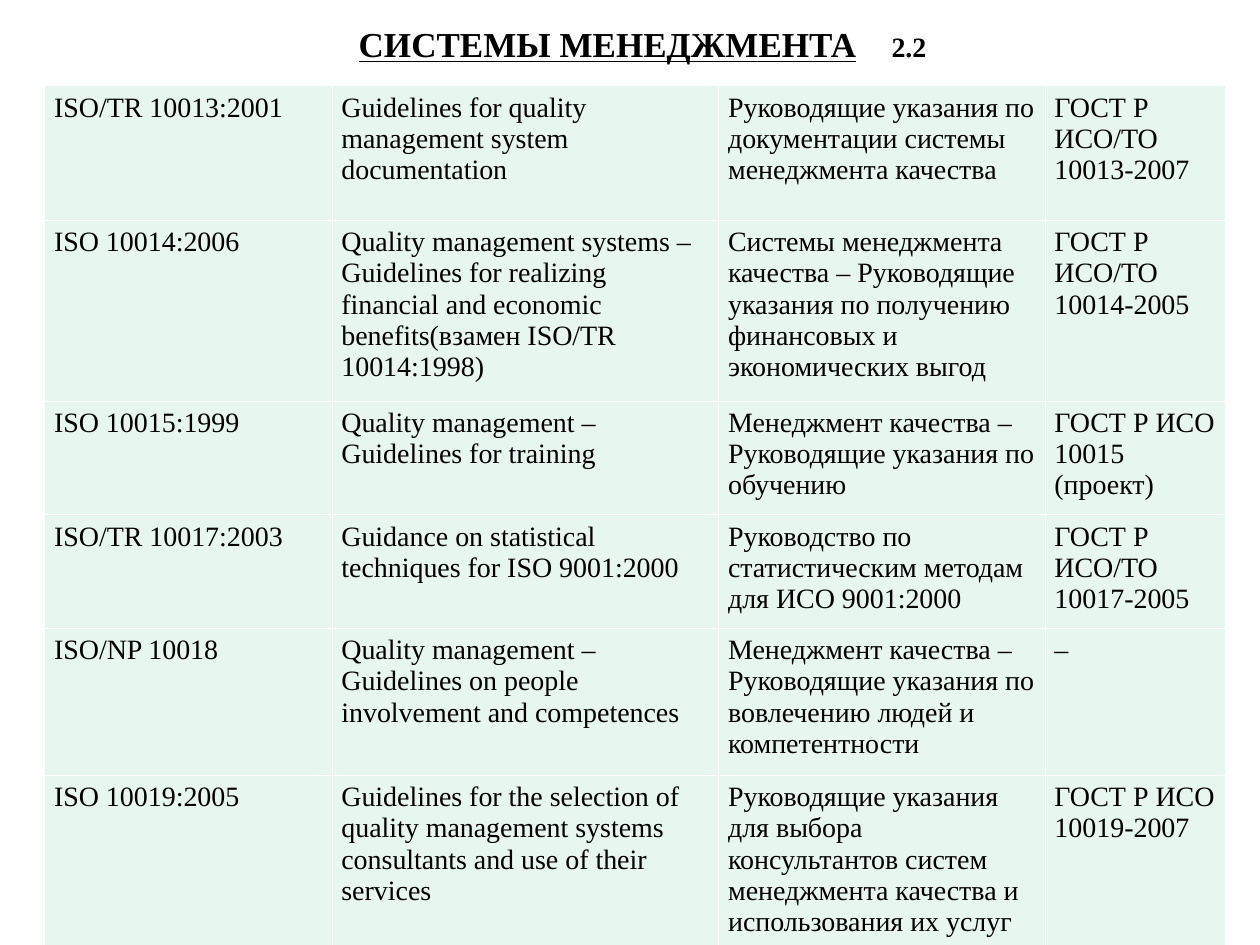
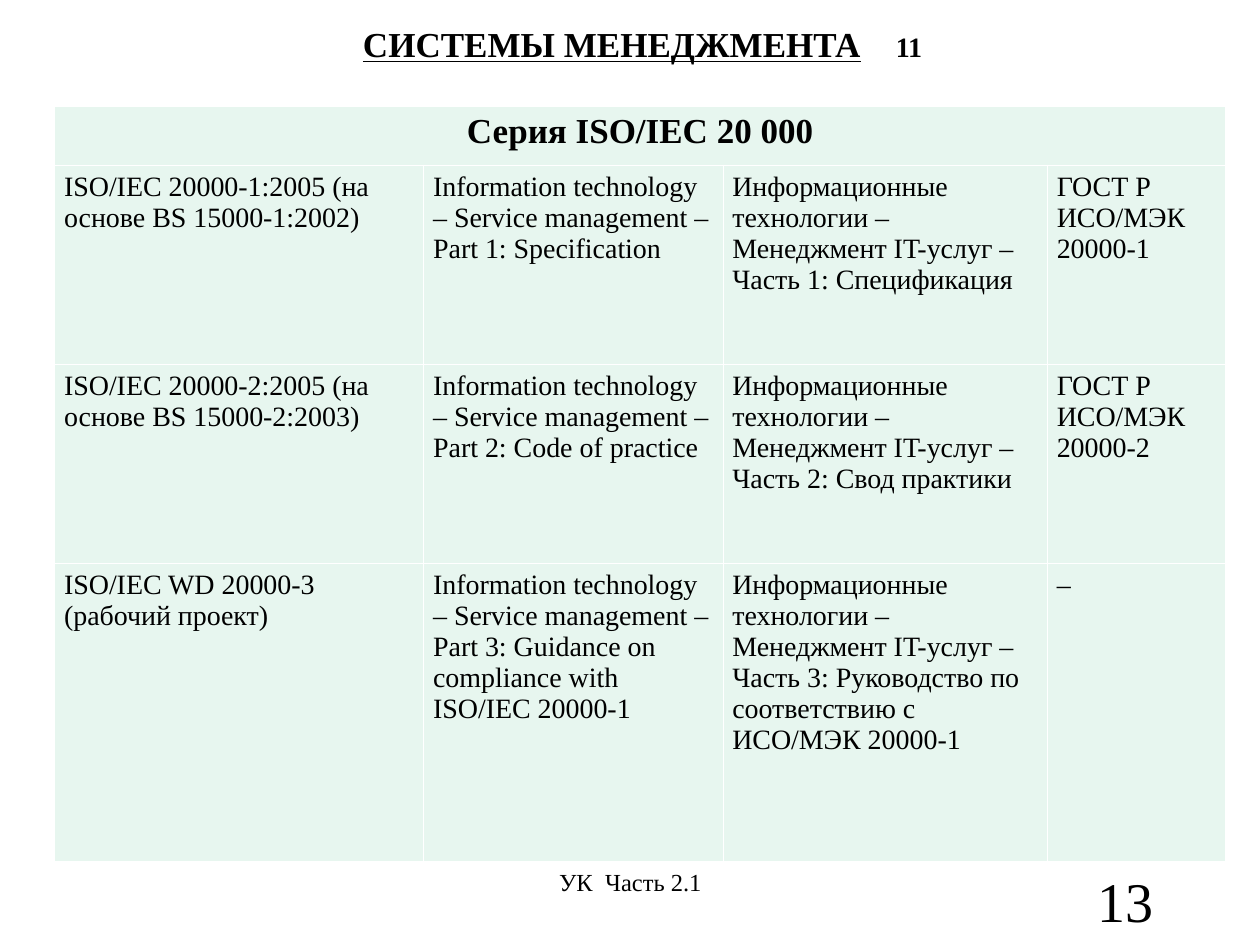
"""Build two slides that list management system standards in tables."""
from dataclasses import dataclass

from lxml import etree
from pptx import Presentation
from pptx import util as u
from pptx.dml.color import RGBColor
from pptx.enum import text
from pptx.oxml import ns
from pptx.presentation import Presentation as Deck
from pptx.slide import Slide
from pptx.table import _Cell as Cell
from pptx.text.text import TextFrame


@dataclass(frozen=True)
class Theme:
    font: str = "Times New Roman"
    ink: str = "000000"
    cell_fill: str = "E7F6EF"
    border: str = "FFFFFF"
    border_width: float = 0.45
    heading_size: int = 20
    body_size: int = 16
    footer_size: int = 14
    page_size: int = 32
    side_inset: float = 5.4
    top_inset: float = 3.6


@dataclass(frozen=True)
class Box:
    left: float
    top: float
    width: float
    height: float

    def lengths(self) -> tuple[u.Length, ...]:
        return tuple(u.Pt(value) for value in (self.left, self.top, self.width, self.height))


@dataclass(frozen=True)
class StandardsTable:
    left: float
    top: float
    columns: tuple[float, ...]
    row_heights: tuple[float, ...]
    rows: tuple[tuple[str, ...], ...]
    heading: str = ""


THEME = Theme()
TITLE = "СИСТЕМЫ МЕНЕДЖМЕНТА"
TITLE_BOX = Box(14.4, 9.4, 705.6, 31.7)
FOOTER_BOX = Box(246.2, 491.8, 228.2, 36)
PAGE_BOX = Box(516.2, 491.8, 149.8, 36)
EM_SPACE, EN_SPACE = "\u2003", "\u2002"
ALIGN = text.PP_ALIGN

QUALITY = StandardsTable(
    left=25.5,
    top=49,
    columns=(164.2, 221, 186.5, 103),
    row_heights=(77, 103, 65, 65, 84, 97.2),
    rows=(
        ("ISO/TR 10013:2001",
         "Guidelines for quality management system documentation",
         "Руководящие указания по документации системы менеджмента качества",
         "ГОСТ Р ИСО/ТО 10013-2007"),
        ("ISO 10014:2006",
         "Quality management systems – Guidelines for realizing financial and "
         "economic benefits(взамен ISO/TR 10014:1998)",
         "Системы менеджмента качества – Руководящие указания по получению "
         "финансовых и экономических выгод",
         "ГОСТ Р ИСО/ТО 10014-2005"),
        ("ISO 10015:1999",
         "Quality management – Guidelines for training",
         "Менеджмент качества – Руководящие указания по обучению",
         "ГОСТ Р ИСО 10015 (проект)"),
        ("ISO/TR 10017:2003",
         "Guidance on statistical techniques for ISO 9001:2000",
         "Руководство по статистическим методам для ИСО 9001:2000",
         "ГОСТ Р ИСО/ТО 10017-2005"),
        ("ISO/NP 10018",
         "Quality management – Guidelines on people involvement and competences",
         "Менеджмент качества – Руководящие указания по вовлечению людей и "
         "компетентности",
         "–"),
        ("ISO 10019:2005",
         "Guidelines for the selection of quality management systems consultants "
         "and use of their services",
         "Руководящие указания для выбора консультантов систем менеджмента "
         "качества и использования их услуг",
         "ГОСТ Р ИСО 10019-2007"),
    ),
)

SERVICE = StandardsTable(
    left=31.2,
    top=60.5,
    columns=(210.9, 171, 185.4, 102),
    row_heights=(33.8, 113.7, 113.7, 170.6),
    heading="Серия ISO/IEC 20 000",
    rows=(
        ("ISO/IEC 20000-1:2005 (на основе BS 15000-1:2002)",
         "Information technology – Service management – Part 1: Specification",
         "Информационные технологии – Менеджмент IT-услуг – Часть 1: Спецификация",
         "ГОСТ Р ИСО/МЭК 20000-1"),
        ("ISO/IEC 20000-2:2005 (на основе BS 15000-2:2003)",
         "Information technology – Service management – Part 2: Code of practice",
         "Информационные технологии – Менеджмент IT-услуг – Часть 2: Свод практики",
         "ГОСТ Р ИСО/МЭК 20000-2"),
        ("ISO/IEC WD 20000-3 (рабочий проект)",
         "Information technology – Service management – Part 3: Guidance on "
         "compliance with ISO/IEC 20000-1",
         "Информационные технологии – Менеджмент IT-услуг – Часть 3: Руководство "
         "по соответствию с ИСО/МЭК 20000-1",
         "–"),
    ),
)


def write(frame: TextFrame, content: str, *, size: float = THEME.body_size,
          bold: bool = False, underline: bool = False,
          align: ALIGN = ALIGN.LEFT) -> None:
    paragraph = frame.paragraphs[0]
    paragraph.alignment = align
    run = paragraph.add_run()
    run.text = content
    font = run.font
    font.name, font.size, font.bold, font.underline = THEME.font, u.Pt(size), bold, underline
    font.color.rgb = RGBColor.from_string(THEME.ink)


def add_text_frame(slide: Slide, box: Box) -> TextFrame:
    frame = slide.shapes.add_textbox(*box.lengths()).text_frame
    frame.word_wrap = True
    return frame


def add_title(slide: Slide, number: str) -> None:
    frame = add_text_frame(slide, TITLE_BOX)
    frame.auto_size = text.MSO_AUTO_SIZE.SHAPE_TO_FIT_TEXT
    write(frame, TITLE, size=THEME.heading_size, bold=True, underline=True, align=ALIGN.CENTER)
    write(frame, EM_SPACE, size=THEME.heading_size, bold=True, align=ALIGN.CENTER)
    write(frame, number, bold=True, align=ALIGN.CENTER)


def add_footer(slide: Slide, label: str, page: str) -> None:
    write(add_text_frame(slide, FOOTER_BOX), label, size=THEME.footer_size, align=ALIGN.CENTER)
    write(add_text_frame(slide, PAGE_BOX), page, size=THEME.page_size, align=ALIGN.RIGHT)


def style_cell(cell: Cell) -> None:
    cell.margin_left = cell.margin_right = u.Pt(THEME.side_inset)
    cell.margin_top = cell.margin_bottom = u.Pt(THEME.top_inset)
    cell.fill.solid()
    cell.fill.fore_color.rgb = RGBColor.from_string(THEME.cell_fill)
    properties = cell._tc.get_or_add_tcPr()
    for position, side in enumerate(("lnL", "lnR", "lnT", "lnB")):
        line = etree.Element(ns.qn(f"a:{side}"), w=str(u.Pt(THEME.border_width)))
        fill = etree.SubElement(line, ns.qn("a:solidFill"))
        etree.SubElement(fill, ns.qn("a:srgbClr"), val=THEME.border)
        properties.insert(position, line)


def add_standards_table(slide: Slide, data: StandardsTable) -> None:
    box = Box(data.left, data.top, sum(data.columns), sum(data.row_heights))
    table = slide.shapes.add_table(
        len(data.row_heights), len(data.columns), *box.lengths()).table
    table.first_row = table.horz_banding = False
    for column, width in zip(table.columns, data.columns):
        column.width = u.Pt(width)
    for row, height in zip(table.rows, data.row_heights):
        row.height = u.Pt(height)
    for cell in table.iter_cells():
        style_cell(cell)
    first_row = 0
    if data.heading:
        first_row = 1
        table.cell(0, 0).merge(table.cell(0, len(data.columns) - 1))
        write(table.cell(0, 0).text_frame, data.heading,
              size=THEME.heading_size, bold=True, align=ALIGN.CENTER)
    for row_index, row_texts in enumerate(data.rows, first_row):
        for column_index, content in enumerate(row_texts):
            write(table.cell(row_index, column_index).text_frame, content)


def add_blank_slide(presentation: Deck) -> Slide:
    return presentation.slides.add_slide(presentation.slide_layouts[6])


def main() -> None:
    presentation = Presentation()
    presentation.slide_width, presentation.slide_height = u.Pt(720), u.Pt(540)

    quality_slide = add_blank_slide(presentation)
    add_title(quality_slide, "2.2")
    add_standards_table(quality_slide, QUALITY)

    service_slide = add_blank_slide(presentation)
    add_footer(service_slide, f"УК{EN_SPACE}Часть 2.1", "13")
    add_title(service_slide, "11")
    add_standards_table(service_slide, SERVICE)

    presentation.save("out.pptx")


main()
